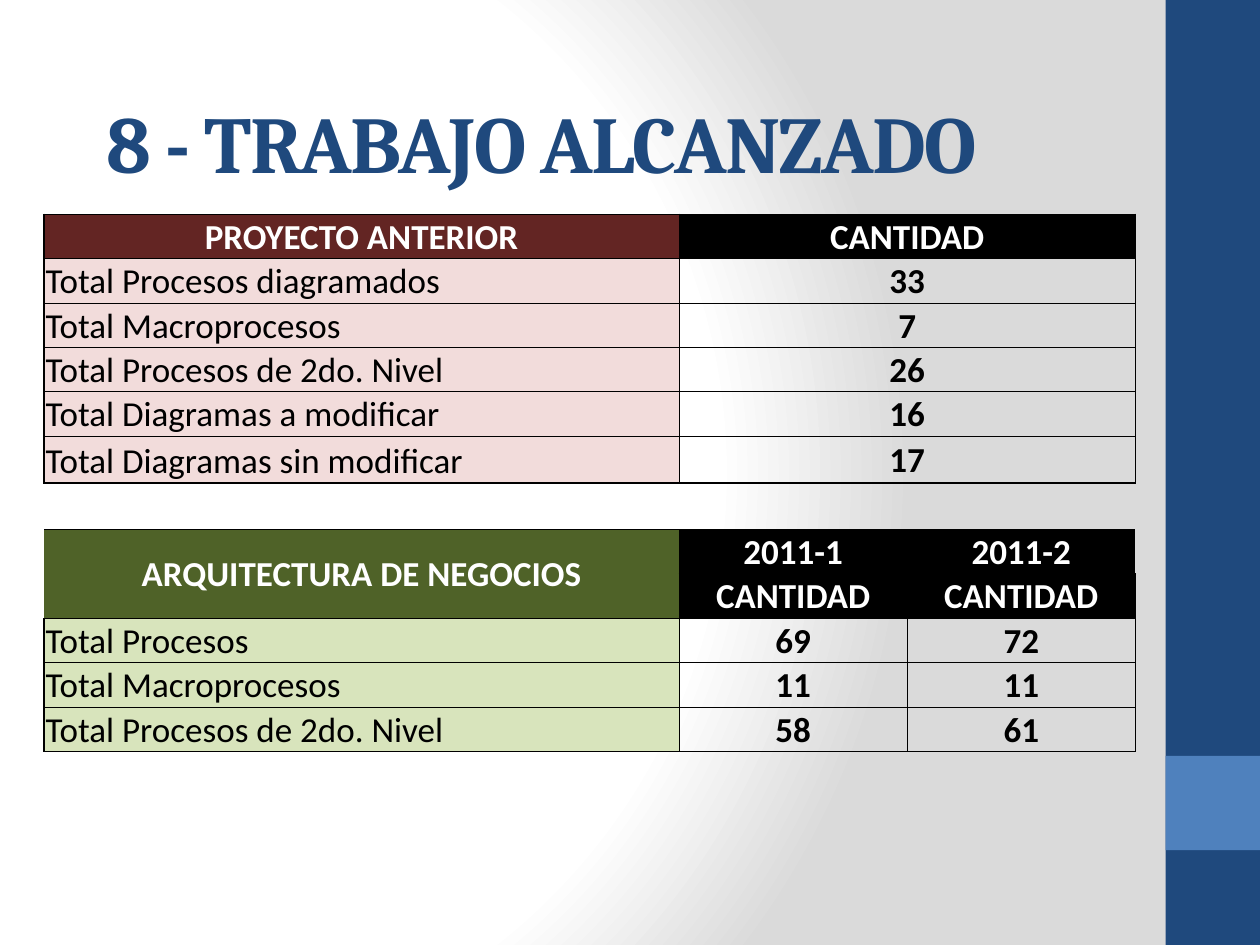
from lxml.etree import SubElement
from pptx import Presentation
from pptx.dml.color import RGBColor
from pptx.enum.shapes import MSO_SHAPE
from pptx.enum.text import MSO_ANCHOR, PP_ALIGN
from pptx.oxml.ns import qn
from pptx.util import Cm, Pt

COLORS = {
    "navy": "1F497D", "blue": "4F81BD", "white": "FFFFFF", "gray": "DADADA",
    "black": "000000", "maroon": "632523", "pink": "F2DCDB",
    "olive": "4F6228", "lime": "D8E4BC",
}
THIN, THICK = 0.5, 1
GAP_ROW = 6
HEADER_ROW = GAP_ROW + 1

PREVIOUS_PROJECT = [
    ("Total Procesos diagramados", "33"),
    ("Total Macroprocesos", "7"),
    ("Total Procesos de 2do. Nivel", "26"),
    ("Total Diagramas a modificar", "16"),
    ("Total Diagramas sin modificar", "17"),
]
BUSINESS_ARCHITECTURE = [
    ("Total Procesos", "69", "72"),
    ("Total Macroprocesos", "11", "11"),
    ("Total Procesos de 2do. Nivel", "58", "61"),
]


def rgb(name):
    return RGBColor.from_string(COLORS[name])


class SlideBuilder:
    heading = {"size": Pt(46), "name": "Cambria", "bold": True}
    body = {"size": Pt(20), "name": "Calibri"}

    def __init__(self, slide):
        self.slide = slide

    def background(self):
        """Fill the background with a circular gradient centred on the left."""
        fill = self.slide.background.fill
        fill.gradient()
        gradient = self.slide.background._cSld.find(".//" + qn("a:gradFill"))
        for child in list(gradient):
            gradient.remove(child)
        stops = SubElement(gradient, qn("a:gsLst"))
        for percent, color in ((0, "white"), (75, "white"), (100, "gray")):
            stop = SubElement(stops, qn("a:gs"), pos=str(percent * 1000))
            SubElement(stop, qn("a:srgbClr"), val=COLORS[color])
        circle = SubElement(gradient, qn("a:path"))
        circle.set("path", "circle")
        SubElement(circle, qn("a:fillToRect"), l="20000", t="50000", r="100000", b="50000")

    def bar(self, left, top, width, height, color):
        shape = self.slide.shapes.add_shape(
            MSO_SHAPE.RECTANGLE, Cm(left), Cm(top), Cm(width), Cm(height))
        shape.shadow.inherit = False
        shape.fill.solid()
        shape.fill.fore_color.rgb = rgb(color)
        shape.line.fill.background()

    def styled_run(self, paragraph, text, color, style):
        run = paragraph.add_run()
        run.text = text
        for attribute, value in style.items():
            setattr(run.font, attribute, value)
        run.font.color.rgb = rgb(color)
        return run

    def title(self, left, top, width, height, text):
        frame = self.slide.shapes.add_textbox(
            Cm(left), Cm(top), Cm(width), Cm(height)).text_frame
        frame.word_wrap = True
        frame.vertical_anchor = MSO_ANCHOR.MIDDLE
        run = self.styled_run(frame.paragraphs[0], text, "navy", self.heading)
        run.font._element.set("spc", "-100")

    def table(self, left, top, widths, heights):
        table = self.slide.shapes.add_table(
            len(heights), len(widths), Cm(left), Cm(top),
            Cm(sum(widths)), Cm(sum(heights))).table
        table.first_row = table.horz_banding = False
        for column, width in zip(table.columns, widths):
            column.width = Cm(width)
        for row, height in zip(table.rows, heights):
            row.height = Cm(height)
        margins = {"margin_left": Cm(0.03), "margin_top": Cm(0.03),
                   "margin_right": Cm(0.03), "margin_bottom": 0}
        for cell in table.iter_cells():
            for attribute, value in margins.items():
                setattr(cell, attribute, value)
        return table

    def borders(self, cell, widths):
        """Draw left, right, top and bottom borders; a width of 0 hides one."""
        properties = cell._tc.get_or_add_tcPr()
        for side, width in zip("LRTB", widths):
            line = SubElement(properties, qn(f"a:ln{side}"), w=str(int(Pt(width))))
            if width:
                fill = SubElement(line, qn("a:solidFill"))
                SubElement(fill, qn("a:srgbClr"), val=COLORS["black"])
            else:
                SubElement(line, qn("a:noFill"))

    def cell(self, cell, text, borders, fill=None, color="black", label=False):
        self.borders(cell, borders)
        if fill:
            cell.fill.solid()
            cell.fill.fore_color.rgb = rgb(fill)
        else:
            cell.fill.background()
        cell.vertical_anchor = MSO_ANCHOR.BOTTOM if label else MSO_ANCHOR.MIDDLE
        paragraph = cell.text_frame.paragraphs[0]
        paragraph.alignment = PP_ALIGN.LEFT if label else PP_ALIGN.CENTER
        if text:
            self.styled_run(paragraph, text, color, {**self.body, "bold": not label})


def border_widths(row, first, last):
    """Thick on the outer edges and around the gap, thin elsewhere."""
    top = THICK if row in (0, GAP_ROW, HEADER_ROW, HEADER_ROW + 1) else THIN
    bottom = THICK if row in (GAP_ROW - 1, GAP_ROW, HEADER_ROW) else THIN
    if row in (GAP_ROW, HEADER_ROW):
        return 0, 0, top, THIN if row == HEADER_ROW and first else bottom
    return THICK if first else THIN, THICK if last else THIN, top, bottom


def fill_results(builder, table):
    header_fills = {0: "maroon", HEADER_ROW: "olive"}
    rows = [
        ("PROYECTO ANTERIOR", "CANTIDAD"), *PREVIOUS_PROJECT, ("", "", ""),
        ("ARQUITECTURA DE NEGOCIOS", "2011-1", "2011-2"),
        ("", "CANTIDAD", "CANTIDAD"), *BUSINESS_ARCHITECTURE,
    ]
    for row in range(GAP_ROW):
        table.cell(row, 1).merge(table.cell(row, 2))
    table.cell(HEADER_ROW, 0).merge(table.cell(HEADER_ROW + 1, 0))

    for row, texts in enumerate(rows):
        header = row in (0, HEADER_ROW, HEADER_ROW + 1)
        for column, text in enumerate(texts):
            cell = table.cell(row, column)
            if cell.is_spanned:
                continue
            first, last = column == 0, column == len(texts) - 1
            if header:
                fill = header_fills[row] if first else "black"
            elif first and row != GAP_ROW:
                fill = "pink" if row < GAP_ROW else "lime"
            else:
                fill = None
            builder.cell(cell, text, border_widths(row, first, last), fill,
                         "white" if header else "black", first and not header)


def main():
    presentation = Presentation()
    presentation.slide_width, presentation.slide_height = Cm(25.4), Cm(19.05)
    builder = SlideBuilder(presentation.slides.add_slide(presentation.slide_layouts[6]))
    builder.background()
    builder.bar(23.5, 0, 1.9, 19.05, "navy")
    builder.bar(23.5, 15.24, 1.9, 1.9, "blue")
    heights = [0.89] * 5 + [0.94] * 2 + [0.89] * 5
    results = builder.table(0.89, 4.32, [12.8, 4.6, 4.6], heights)
    fill_results(builder, results)
    builder.title(1.9, 1.57, 21, 2.57, "8 - TRABAJO ALCANZADO")
    presentation.save("out.pptx")


if __name__ == "__main__":
    main()
